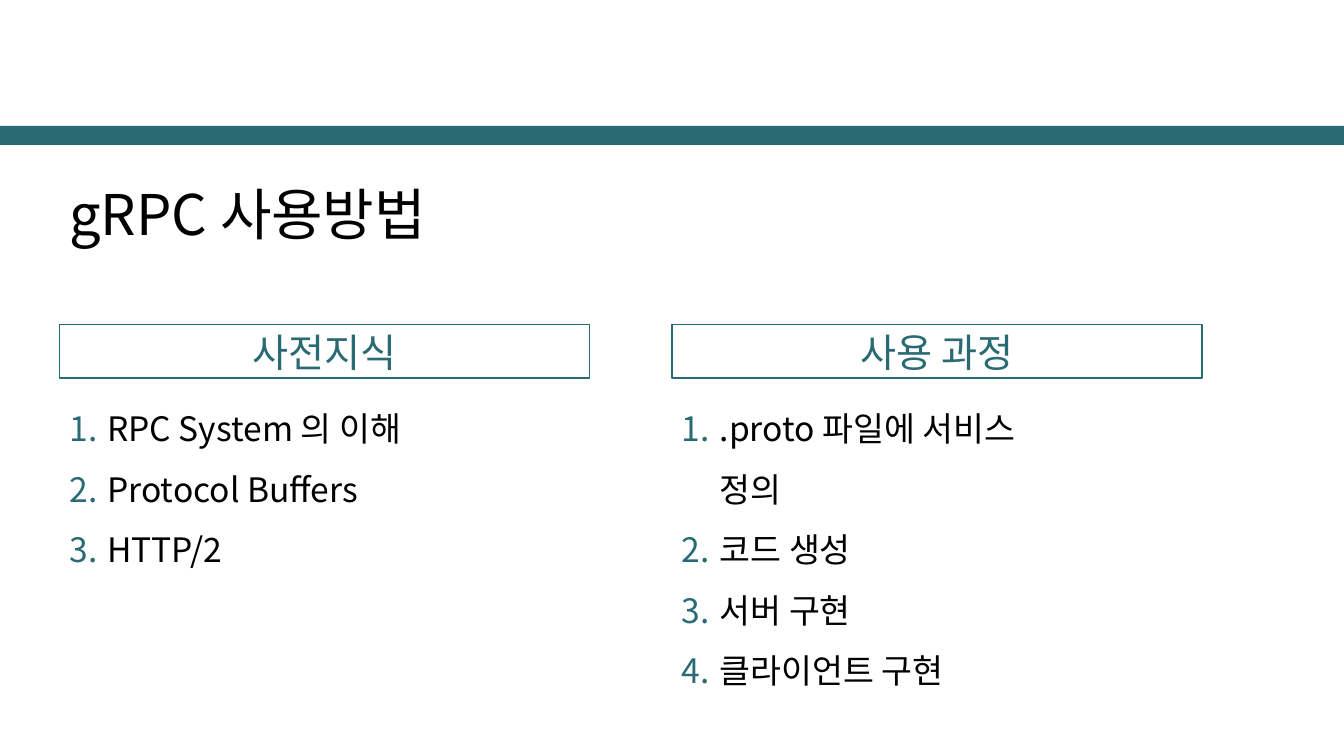
from pptx import Presentation
from pptx.util import Pt
from pptx.dml.color import RGBColor
from pptx.enum.shapes import MSO_SHAPE
from pptx.enum.text import PP_ALIGN, MSO_ANCHOR
from pptx.oxml.ns import qn
from lxml.etree import SubElement

TEAL = RGBColor(0x2A, 0x6A, 0x73)
BLACK = RGBColor(0, 0, 0)
WHITE = RGBColor(255, 255, 255)
FONT = "Noto Sans CJK KR"

deck = Presentation()
deck.slide_width, deck.slide_height = Pt(960), Pt(540)
slide = deck.slides.add_slide(deck.slide_layouts[6])


def add_run(para, text, size, color):
    run = para.add_run()
    run.text = text
    run.font.size = Pt(size)
    run.font.name = FONT
    run.font.color.rgb = color
    SubElement(run.font._element, qn("a:ea"), typeface=FONT)


def add_rect(left, top, width, height, fill):
    rect = slide.shapes.add_shape(
        MSO_SHAPE.RECTANGLE, Pt(left), Pt(top), Pt(width), Pt(height))
    rect.shadow.inherit = False
    rect.fill.solid()
    rect.fill.fore_color.rgb = fill
    rect.line.fill.background()
    return rect


# Top band
add_rect(0, 90, 960, 13.5, TEAL)

# Title
title = slide.shapes.add_textbox(Pt(42.5), Pt(124.5), Pt(875.5), Pt(55.5))
title.text_frame.word_wrap = True
add_run(title.text_frame.paragraphs[0], "gRPC 사용방법", 40, BLACK)

# Two columns: left edge, list width, heading, steps
columns = [
    (42.5, 261.5, "사전지식",
     ["RPC System 의 이해", "Protocol Buffers", "HTTP/2"]),
    (480, 300, "사용 과정",
     [".proto 파일에 서비스 정의", "코드 생성", "서버 구현", "클라이언트 구현"]),
]
for left, width, heading, steps in columns:
    # Numbered list
    box = slide.shapes.add_textbox(
        Pt(left), Pt(273.5), Pt(width), Pt(44.5 * len(steps)))
    frame = box.text_frame
    frame.word_wrap = True
    for i, step in enumerate(steps):
        para = frame.add_paragraph() if i else frame.paragraphs[0]
        para.line_spacing = 1.5
        props = para._p.get_or_add_pPr()
        props.set("marL", str(Pt(27)))
        props.set("indent", str(-Pt(27)))
        tint = SubElement(props, qn("a:buClr"))
        SubElement(tint, qn("a:srgbClr"), val=str(TEAL))
        SubElement(props, qn("a:buFont"), typeface=FONT)
        SubElement(props, qn("a:buAutoNum"), type="arabicPeriod")
        add_run(para, step, 24, BLACK)

    # Heading box
    head = add_rect(left, 232, 378.75, 38, WHITE)
    head.line.color.rgb = TEAL
    head.line.width = Pt(1)
    head.text_frame.vertical_anchor = MSO_ANCHOR.MIDDLE
    para = head.text_frame.paragraphs[0]
    para.alignment = PP_ALIGN.CENTER
    add_run(para, heading, 28, TEAL)

deck.save("out.pptx")
